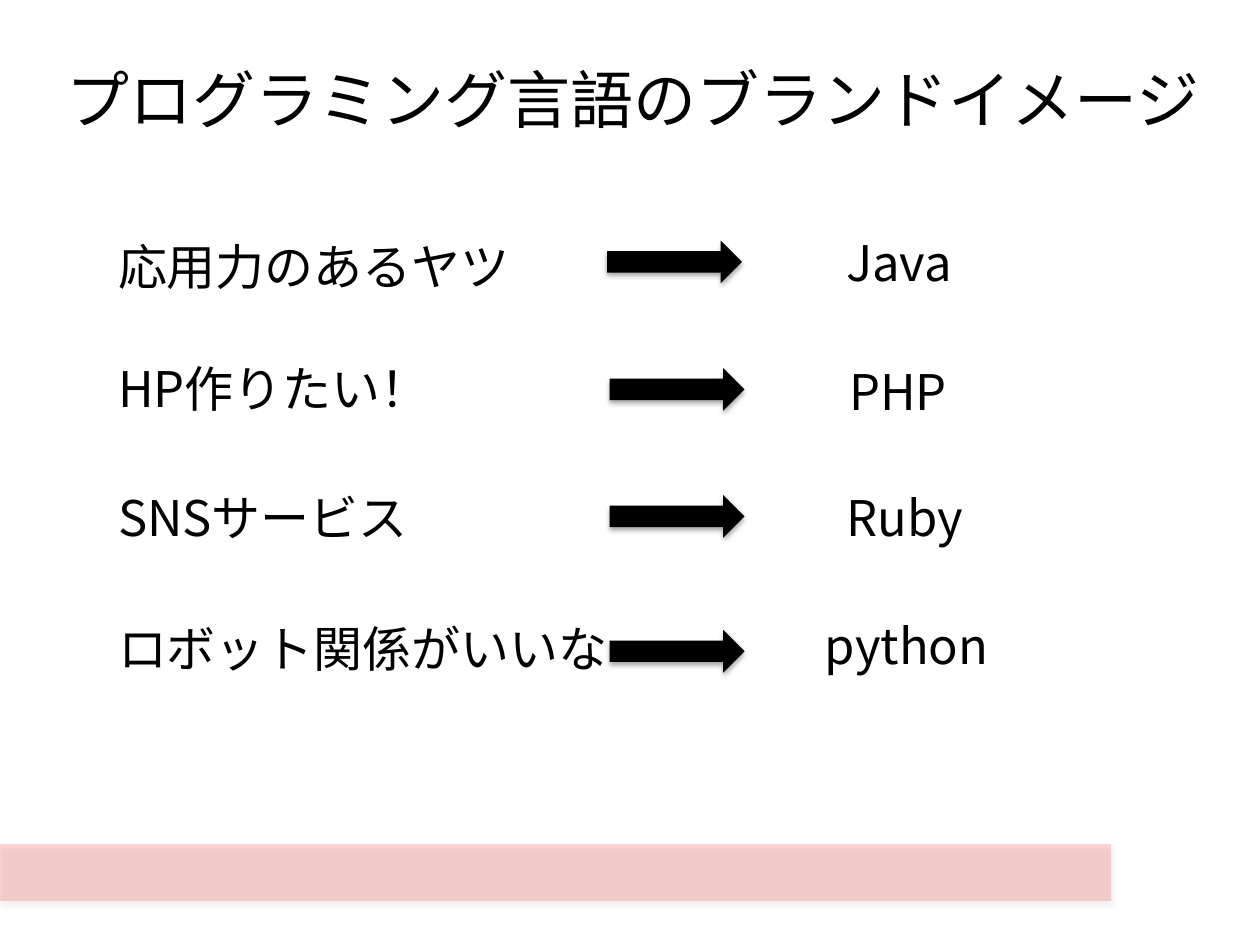
from lxml.etree import SubElement
from pptx import Presentation
from pptx.dml.color import RGBColor as RGB
from pptx.enum.shapes import MSO_SHAPE as SHAPE
from pptx.enum.text import MSO_AUTO_SIZE as AUTO
from pptx.oxml import parse_xml
from pptx.oxml.ns import qn
from pptx.util import Cm, Pt

TITLE = "プログラミング言語のブランドイメージ"
# wish (text, top, width), language (text, left, top, width), arrow (left, top)
ROWS = [
    (("応用力のあるヤツ", 4.65, 8.48), ("Java", 16.81, 4.57, 3.02), (12.24, 4.85)),
    (("HP作りたい！", 7.11, 7.01), ("PHP", 16.87, 7.16, 2.72), (12.29, 7.42)),
    (("SNSサービス", 9.7, 6.76), ("Ruby", 16.81, 9.7, 3.07), (12.29, 9.98)),
    (("ロボット関係がいいな", 12.34, 10.49), ("python", 16.38, 12.29, 4.04), (12.29, 12.7)),
]
WISH_LEFT, ROW_H = 2.13, 1.45
ARROW_W, ARROW_H = 2.72, 0.86

THEME = {
    "font": "Noto Sans CJK JP",
    "ink": RGB(0, 0, 0),
    "band": RGB(255, 0, 0),
    "band_alpha": 16,
    "title": Pt(36),
    "body": Pt(28),
}
FRAME = {"word_wrap": False, "auto_size": AUTO.SHAPE_TO_FIT_TEXT}
SHADOW = (
    '<a:effectLst xmlns:a="http://schemas.openxmlformats.org/drawingml/2006/main">'
    '<a:outerShdw blurRad="39370" dist="22860" dir="5400000" rotWithShape="0">'
    '<a:srgbClr val="000000"><a:alpha val="35000"/></a:srgbClr>'
    '</a:outerShdw></a:effectLst>'
)


def set_all(obj, values):
    for name, value in values.items():
        setattr(obj, name, value)


def add_text(slide, text, left, top, width, height, size):
    tf = slide.shapes.add_textbox(Cm(left), Cm(top), Cm(width), Cm(height)).text_frame
    set_all(tf, FRAME)
    r = tf.paragraphs[0].add_run()
    r.text = text
    set_all(r.font, {"name": THEME["font"], "size": THEME[size]})
    r.font.color.rgb = THEME["ink"]
    SubElement(r._r.get_or_add_rPr(), qn("a:ea"), typeface=THEME["font"])


def add_block(slide, kind, left, top, width, height, color, alpha=100):
    s = slide.shapes.add_shape(kind, Cm(left), Cm(top), Cm(width), Cm(height))
    s.fill.solid()
    s.fill.fore_color.rgb = THEME[color]
    s.line.fill.background()
    spPr = s._element.spPr
    if alpha < 100:
        clr = spPr.find(qn("a:solidFill")).find(qn("a:srgbClr"))
        SubElement(clr, qn("a:alpha"), val=str(alpha * 1000))
    spPr.append(parse_xml(SHADOW))


def main():
    prs = Presentation()
    set_all(prs, {"slide_width": Cm(25.4), "slide_height": Cm(19.05)})
    slide = prs.slides.add_slide(prs.slide_layouts[6])
    add_block(slide, SHAPE.RECTANGLE, 0, 17.02, 22.4, 1.14, "band", THEME["band_alpha"])
    add_text(slide, TITLE, 1.09, 1.09, 23.6, 1.8, "title")
    for (wish, wish_top, wish_w), (lang, left, top, width), arrow in ROWS:
        add_text(slide, wish, WISH_LEFT, wish_top, wish_w, ROW_H, "body")
        add_text(slide, lang, left, top, width, ROW_H, "body")
        add_block(slide, SHAPE.RIGHT_ARROW, *arrow, ARROW_W, ARROW_H, "ink")
    prs.save("out.pptx")


if __name__ == "__main__":
    main()
